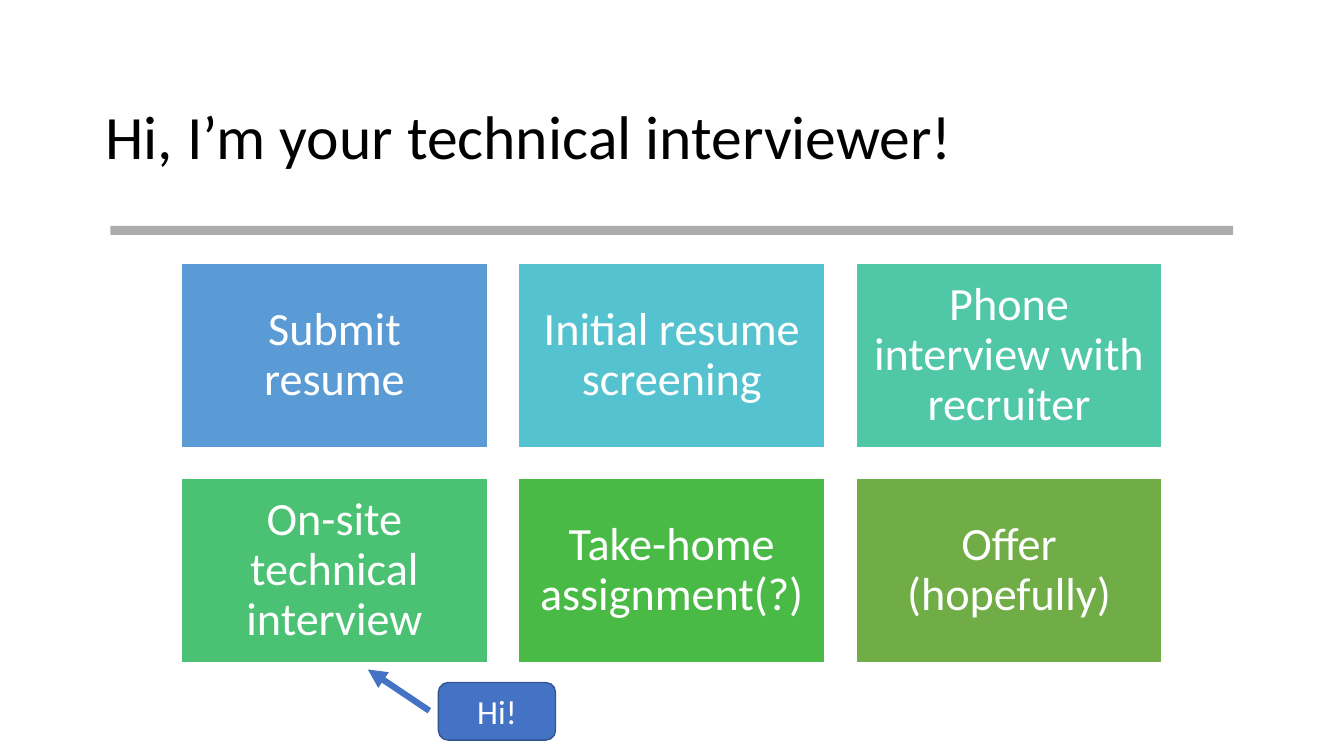
from lxml import etree
from pptx import Presentation
from pptx.dml.color import RGBColor
from pptx.enum.shapes import MSO_CONNECTOR as Connector, MSO_SHAPE as Shape
from pptx.enum.text import MSO_ANCHOR as Anchor, PP_ALIGN as Align
from pptx.oxml.ns import qn
from pptx.util import Cm, Pt

COLORS = {
    "black": "000000",
    "white": "FFFFFF",
    "gray": "808080",
    "blue": "4472C4",
    "navy": "325491",
    "submit": "5B9BD5",
    "screening": "55C3CF",
    "phone": "50C8A7",
    "onsite": "4BC174",
    "assignment": "4ABA46",
    "offer": "70AD47",
}
STEPS = [
    ("Submit resume", "submit"),
    ("Initial resume screening", "screening"),
    ("Phone interview with recruiter", "phone"),
    ("On-site technical interview", "onsite"),
    ("Take-home assignment(?)", "assignment"),
    ("Offer (hopefully)", "offer"),
]
COLUMNS = 3
STEP_WIDTH, STEP_HEIGHT = 7.72, 4.65
STEP_LEFT, STEP_TOP = 4.57, 6.63
COLUMN_PITCH, ROW_PITCH = 8.5, 5.42


def rgb(name):
    return RGBColor.from_string(COLORS[name])


def add_text(text, left, top, width, height, *, size, color="white",
             align=Align.CENTER, spacing=1.0, inset=0.25,
             shape=None, fill=None, line=None):
    place = Cm(left), Cm(top), Cm(width), Cm(height)
    if shape is None:
        box = slide.shapes.add_textbox(*place)
    else:
        box = slide.shapes.add_shape(shape, *place)
        box.shadow.inherit = False
        box.fill.solid()
        box.fill.fore_color.rgb = rgb(fill)
        box.line.color.rgb = rgb(line)
        box.line.width = Pt(1)
    frame = box.text_frame
    frame.word_wrap = True
    frame.vertical_anchor = Anchor.MIDDLE
    frame.margin_left = frame.margin_right = Cm(inset)
    frame.margin_top = frame.margin_bottom = Cm(inset)
    paragraph = frame.paragraphs[0]
    paragraph.text = text
    paragraph.alignment = align
    paragraph.line_spacing = spacing
    paragraph.font.name = "Calibri"
    paragraph.font.size = Pt(size)
    paragraph.font.color.rgb = rgb(color)


deck = Presentation()
deck.slide_width, deck.slide_height = Cm(33.87), Cm(19.05)
slide = deck.slides.add_slide(deck.slide_layouts[6])

add_text("Hi, I’m your technical interviewer!", 2.41, 1.68, 29.03, 3.68,
         size=44, color="black", align=Align.LEFT, spacing=0.9)

divider = slide.shapes.add_shape(Shape.RECTANGLE, Cm(2.78), Cm(5.69), Cm(28.3), Cm(0.23))
divider.shadow.inherit = False
divider.fill.solid()
divider.fill.fore_color.rgb = rgb("gray")
divider.line.fill.background()
divider_color = divider.fill._xPr.find(qn("a:solidFill"))[0]
etree.SubElement(divider_color, qn("a:alpha"), val="65000")

for index, (step, color) in enumerate(STEPS):
    row, column = divmod(index, COLUMNS)
    add_text(step, STEP_LEFT + column * COLUMN_PITCH, STEP_TOP + row * ROW_PITCH,
             STEP_WIDTH, STEP_HEIGHT, size=33, spacing=0.9, inset=0.36,
             shape=Shape.RECTANGLE, fill=color, line="white")

add_text("Hi!", 11.05, 17.2, 2.95, 1.45, size=24, inset=0.13,
         shape=Shape.ROUNDED_RECTANGLE, fill="blue", line="navy")

pointer = slide.shapes.add_connector(Connector.STRAIGHT, Cm(10.82), Cm(17.91), Cm(9.27), Cm(16.87))
pointer.line.color.rgb = rgb("blue")
pointer.line.width = Pt(4.5)
etree.SubElement(pointer.line._get_or_add_ln(), qn("a:tailEnd"), type="triangle")
etree.SubElement(pointer._element.spPr, qn("a:effectLst"))

deck.save("out.pptx")
